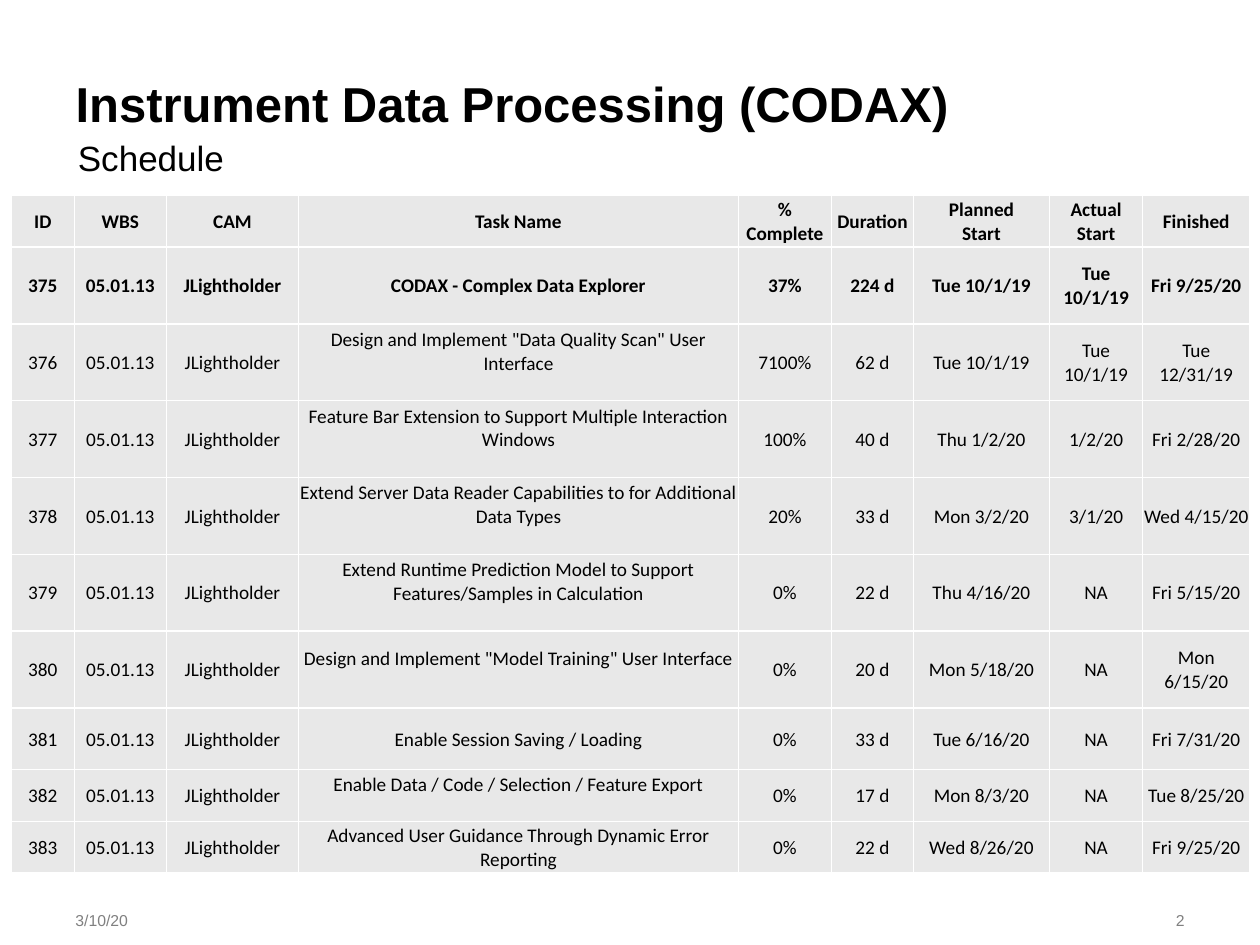
from pptx import Presentation
from pptx.dml.color import RGBColor
from pptx.enum.text import MSO_ANCHOR as Anchor, MSO_AUTO_SIZE as AutoSize, PP_ALIGN as Align
from pptx.oxml import parse_xml
from pptx.oxml.ns import nsdecls
from pptx.util import Inches, Pt

BLACK = RGBColor(0x00, 0x00, 0x00)
GRAY = RGBColor(0x80, 0x80, 0x80)
CELL_FILL = RGBColor(0xE8, 0xE8, 0xE8)
BORDER = RGBColor(0xFF, 0xFF, 0xFF)

deck = Presentation()
deck.slide_width, deck.slide_height = Inches(10), Inches(7.5)
page = deck.slides.add_slide(deck.slide_layouts[5])


def write(frame, text, align, color, **font_format):
    """Fill a text frame, one paragraph per line, in a single format."""
    frame.word_wrap = True
    frame.text = text
    for para in frame.paragraphs:
        para.alignment = align
        for span in para.runs:
            span.font.color.rgb = color
            for name, value in font_format.items():
                setattr(span.font, name, value)


def place(box, left, top, width, height, anchor, margin_top):
    """Position a text shape and set how its text sits in it."""
    box.left, box.top, box.width, box.height = map(Inches, (left, top, width, height))
    settings = {"auto_size": AutoSize.NONE, "vertical_anchor": anchor,
                "margin_top": Inches(margin_top)}
    for name, value in settings.items():
        setattr(box.text_frame, name, value)


# Title
title = page.shapes.title
place(title, 0.5, 0.5, 9, 0.48, Anchor.TOP, 0.08)
write(title.text_frame, "Instrument Data Processing (CODAX)", Align.LEFT, BLACK,
      name="Arial", size=Pt(28), bold=True)

# Subtitle, date and page number
labels = [
    ("Schedule", (0.52, 1, 9, 0.36), Anchor.TOP, 0.08, Align.LEFT, BLACK, 20),
    ("3/10/20", (0.5, 7.1, 1.48, 0.4), Anchor.MIDDLE, 0.05, Align.LEFT, GRAY, 9),
    ("2", (8.11, 7.1, 1.39, 0.4), Anchor.MIDDLE, 0.05, Align.RIGHT, GRAY, 9),
]
for text, place_at, anchor, margin_top, align, color, size in labels:
    box = page.shapes.add_textbox(0, 0, 0, 0)
    place(box, *place_at, anchor, margin_top)
    write(box.text_frame, text, align, color, name="Arial", size=Pt(size))

# Schedule data: ID, task, % complete, duration, planned start, actual start, finished
WBS, MANAGER = "05.01.13", "JLightholder"
header = ["ID", "WBS", "CAM", "Task Name", "%\nComplete", "Duration",
          "Planned\nStart", "Actual\nStart", "Finished"]
tasks = [
    ("375", "CODAX - Complex Data Explorer",
     "37%", "224 d", "Tue 10/1/19", "Tue 10/1/19", "Fri 9/25/20"),
    ("376", 'Design and Implement "Data Quality Scan" User Interface',
     "7100%", "62 d", "Tue 10/1/19", "Tue 10/1/19", "Tue 12/31/19"),
    ("377", "Feature Bar Extension to Support Multiple Interaction Windows",
     "100%", "40 d", "Thu 1/2/20", "1/2/20", "Fri 2/28/20"),
    ("378", "Extend Server Data Reader Capabilities to for Additional Data Types",
     "20%", "33 d", "Mon 3/2/20", "3/1/20", "Wed 4/15/20"),
    ("379", "Extend Runtime Prediction Model to Support Features/Samples in Calculation",
     "0%", "22 d", "Thu 4/16/20", "NA", "Fri 5/15/20"),
    ("380", 'Design and Implement "Model Training" User Interface',
     "0%", "20 d", "Mon 5/18/20", "NA", "Mon 6/15/20"),
    ("381", "Enable Session Saving / Loading",
     "0%", "33 d", "Tue 6/16/20", "NA", "Fri 7/31/20"),
    ("382", "Enable Data / Code / Selection / Feature Export",
     "0%", "17 d", "Mon 8/3/20", "NA", "Tue 8/25/20"),
    ("383", "Advanced User Guidance Through Dynamic Error Reporting",
     "0%", "22 d", "Wed 8/26/20", "NA", "Fri 9/25/20"),
]
rows = [header] + [[number, WBS, MANAGER, *rest] for number, *rest in tasks]
column_widths = [0.5, 0.73, 1.05, 3.49, 0.74, 0.65, 1.08, 0.74, 0.85]
row_heights = [0.41] + [0.61] * 6 + [0.49, 0.41, 0.41]
TASK_COLUMN = header.index("Task Name")
RAISED_TASKS = {"376", "377", "378", "379", "380", "382"}

# Schedule table
table = page.shapes.add_table(len(rows), len(header), Inches(0.09), Inches(1.55),
                              Inches(sum(column_widths)), Inches(sum(row_heights))).table
for column, width in zip(table.columns, column_widths):
    column.width = Inches(width)
for row, height in zip(table.rows, row_heights):
    row.height = Inches(height)

for row_index, values in enumerate(rows):
    for column_index, text in enumerate(values):
        cell = table.cell(row_index, column_index)
        raised = column_index == TASK_COLUMN and values[0] in RAISED_TASKS
        cell_format = {
            "vertical_anchor": Anchor.MIDDLE,
            "margin_left": Inches(0.01),
            "margin_right": Inches(0.01),
            "margin_top": Inches(0.01),
            "margin_bottom": Inches(0.18 if raised else 0),
        }
        for name, value in cell_format.items():
            setattr(cell, name, value)
        write(cell.text_frame, text, Align.CENTER, BLACK,
              name="Calibri", size=Pt(11), bold=row_index < 2)
        cell.fill.solid()
        cell.fill.fore_color.rgb = CELL_FILL
        # Borders come before the fill in the cell properties
        properties = cell._tc.get_or_add_tcPr()
        for position, side in enumerate("LRTB"):
            properties.insert(position, parse_xml(
                f'<a:ln{side} {nsdecls("a")} w="{Pt(1)}"><a:solidFill>'
                f'<a:srgbClr val="{BORDER}"/></a:solidFill></a:ln{side}>'))

deck.save("out.pptx")
